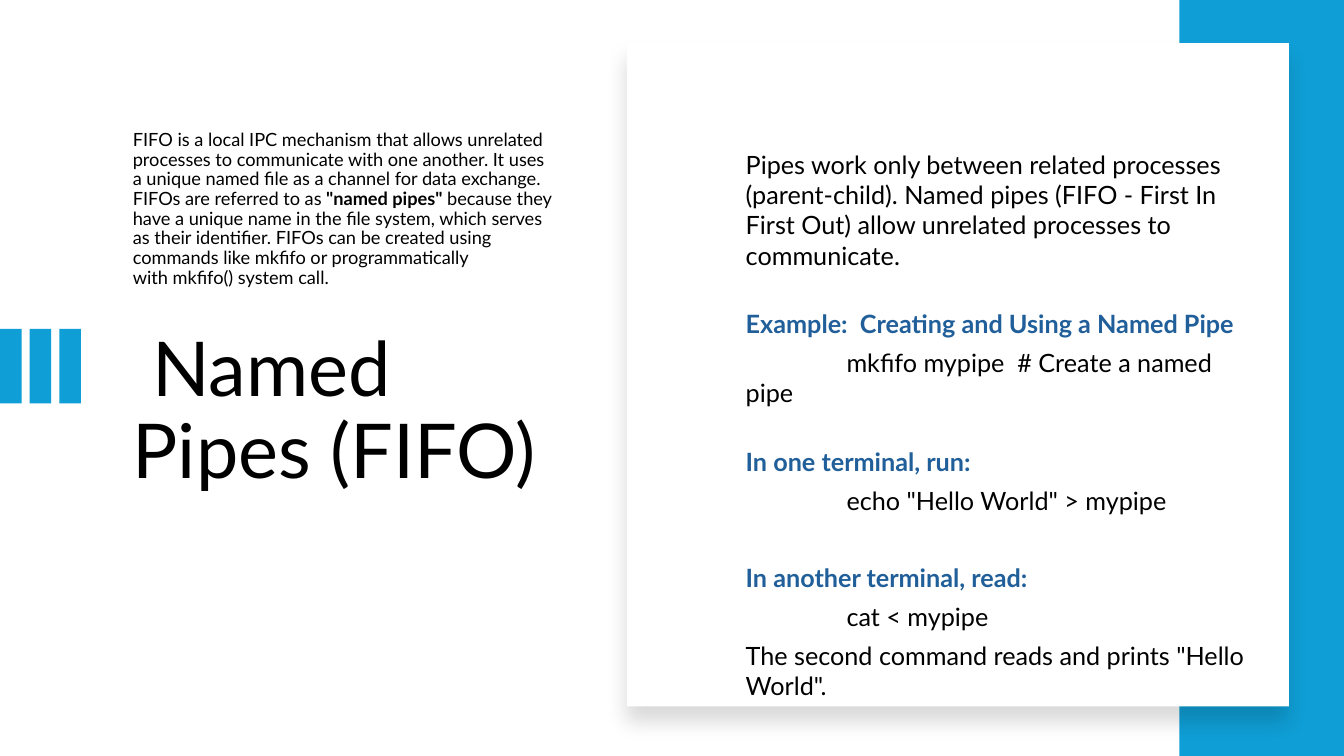
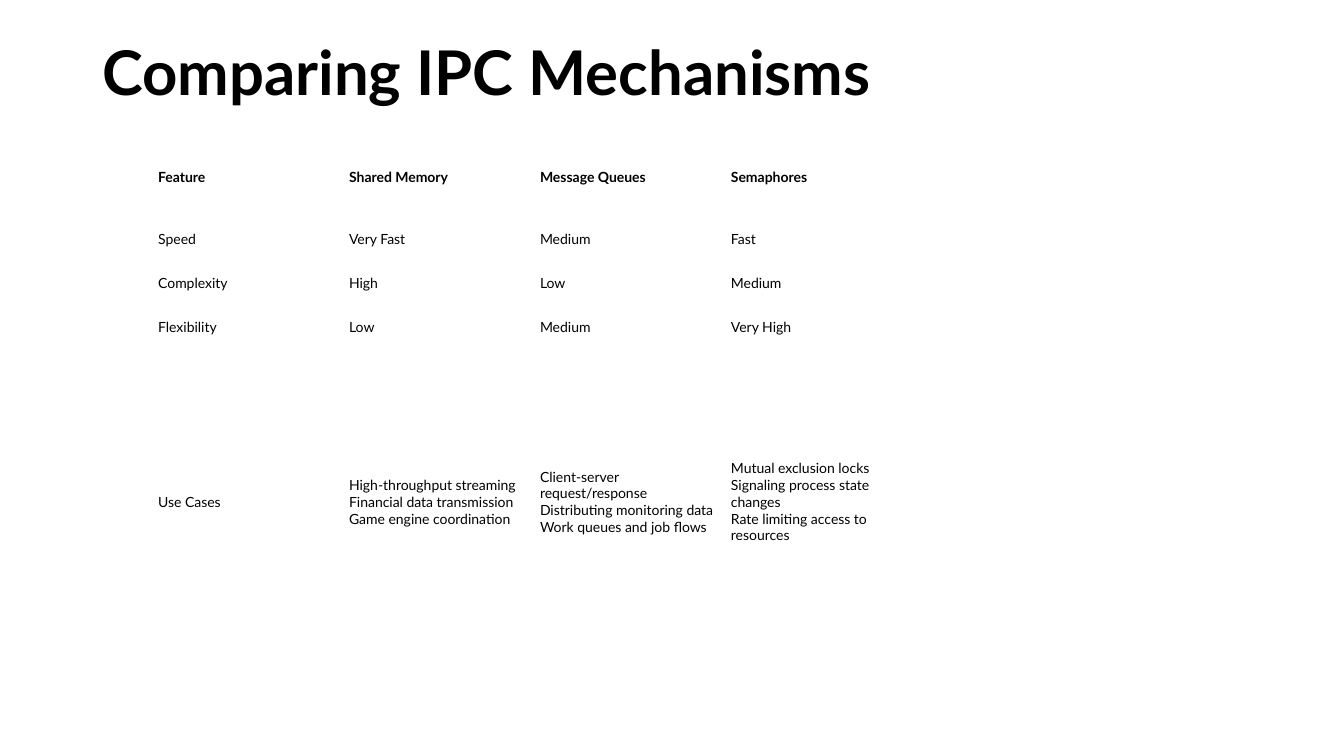
from lxml import etree
from pptx import Presentation
from pptx.dml.color import RGBColor
from pptx.enum.shapes import MSO_SHAPE
from pptx.enum.text import MSO_ANCHOR
from pptx.oxml.ns import qn
from pptx.util import Pt

RECTANGLE = MSO_SHAPE.RECTANGLE
TOP, MIDDLE, BOTTOM = MSO_ANCHOR.TOP, MSO_ANCHOR.MIDDLE, MSO_ANCHOR.BOTTOM

FONT = "Lato"
BLACK = RGBColor(0x00, 0x00, 0x00)
WHITE = RGBColor(0xFF, 0xFF, 0xFF)
SKY = RGBColor(0x0F, 0x9E, 0xD5)
NAVY = RGBColor(0x21, 0x5F, 0x9A)

WIDTH, HEIGHT = 960, 540
BODY_GAP = 6
BLANK_LINE = 21.6
CODE_INDENT = 72
HARD_SPACE = chr(160)

DEFINITION = [
    ("FIFO is a local IPC mechanism that allows unrelated processes to "
     "communicate with one another. It uses a unique named file as a channel "
     "for data exchange. FIFOs are referred to as ", False),
    ('"named pipes"', True),
    (" because they have a unique name in the file system, which serves as "
     "their identifier. FIFOs can be created using commands like mkfifo or "
     "programmatically "
     f"with{HARD_SPACE}mkfifo(){HARD_SPACE}system call.", False),
]

PLAIN, HEADING, CODE = "plain", "heading", "code"
WALKTHROUGH = [
    (PLAIN, "Pipes work only between related processes (parent-child). Named "
            "pipes (FIFO - First In First Out) allow unrelated processes to "
            "communicate.", 1),
    (HEADING, "Example:  Creating and Using a Named Pipe", 0),
    (CODE, "mkfifo mypipe  # Create a named pipe", 1),
    (HEADING, "In one terminal, run:", 0),
    (CODE, 'echo "Hello World" > mypipe', 1.28),
    (HEADING, "In another terminal, read:", 0),
    (CODE, "cat < mypipe", 0),
    (PLAIN, 'The second command reads and prints "Hello World".', 0),
]

COMPARISON = [
    ("Feature", "Shared Memory", "Message Queues", "Semaphores"),
    ("Speed", "Very Fast", "Medium", "Fast"),
    ("Complexity", "High", "Low", "Medium"),
    ("Flexibility", "Low", "Medium", "Very High"),
    ("Use Cases",
     "High-throughput streaming\nFinancial data transmission\n"
     "Game engine coordination",
     "Client-server request/response\nDistributing monitoring data\n"
     "Work queues and job flows",
     "Mutual exclusion locks\nSignaling process state changes\n"
     "Rate limiting access to resources"),
]
ROW_HEIGHTS = [58.3, 31.2, 31.2, 31.2, 218.9]
COLUMN_WIDTH = 136.4


def add_page(deck):
    """Add a blank white page."""
    page = deck.slides.add_slide(deck.slide_layouts[6])
    page.background.fill.solid()
    page.background.fill.fore_color.rgb = WHITE
    return page


def style(para, size, bold=False, color=BLACK):
    """Set the font of a whole paragraph."""
    para.font.name = FONT
    para.font.size = Pt(size)
    para.font.bold = bold
    para.font.color.rgb = color


def add_text(page, left, top, width, height, anchor=TOP):
    """Add an empty wrapping text box and return its frame."""
    box = page.shapes.add_textbox(Pt(left), Pt(top), Pt(width), Pt(height))
    box.text_frame.word_wrap = True
    box.text_frame.vertical_anchor = anchor
    return box.text_frame


def add_title(page, text, left, top, width, height, size, bold=False):
    """Add a page title."""
    para = add_text(page, left, top, width, height).paragraphs[0]
    para.text = text
    para.line_spacing = 0.9
    style(para, size, bold)


def add_block(page, left, top, width, height, color):
    """Add a flat rectangle without outline."""
    block = page.shapes.add_shape(
        RECTANGLE, Pt(left), Pt(top), Pt(width), Pt(height))
    block.fill.solid()
    block.fill.fore_color.rgb = color
    block.line.fill.background()
    block.shadow.inherit = False
    return block


def add_soft_shadow(block):
    """Give a block a faint shadow that falls downwards."""
    effects = block.element.spPr.find(qn("a:effectLst"))
    shadow = etree.SubElement(
        effects, qn("a:outerShdw"), blurRad=str(Pt(15)), dist=str(Pt(11)),
        dir="5400000", algn="t", rotWithShape="0")
    color = etree.SubElement(shadow, qn("a:srgbClr"), val=str(BLACK))
    etree.SubElement(color, qn("a:alpha"), val="15000")


def add_definition(page):
    """Add the short definition above the title."""
    para = add_text(page, 87.8, 74.9, 317.5, 134.6, BOTTOM).paragraphs[0]
    para.line_spacing = 0.9
    para.space_before = Pt(10)
    style(para, 13)
    for text, bold in DEFINITION:
        span = para.add_run()
        span.text = text
        span.font.bold = bold


def add_walkthrough(page):
    """Add the explanation with its headings and indented commands."""
    frame = add_text(page, 525.6, 103, 380, 383)
    for index, (kind, text, blank_lines) in enumerate(WALKTHROUGH):
        para = frame.add_paragraph() if index else frame.paragraphs[0]
        para.text = text
        para.space_after = Pt(BODY_GAP + blank_lines * BLANK_LINE)
        heading = kind == HEADING
        style(para, 18, heading, NAVY if heading else BLACK)
        if kind == CODE:
            properties = para._p.get_or_add_pPr()
            properties.set("marL", "0")
            properties.set("indent", str(Pt(CODE_INDENT)))


def fill_cell(cell, text, bold):
    """Write one table cell on white."""
    cell.fill.solid()
    cell.fill.fore_color.rgb = WHITE
    cell.vertical_anchor = MIDDLE
    cell.margin_left = cell.margin_right = Pt(4.5)
    cell.margin_top = cell.margin_bottom = Pt(2.25)
    cell.text = text
    for para in cell.text_frame.paragraphs:
        style(para, 10, bold)


def add_comparison(page):
    """Add the table that compares the mechanisms."""
    columns = len(COMPARISON[0])
    table = page.shapes.add_table(
        len(COMPARISON), columns, Pt(108.5), Pt(97.2),
        Pt(columns * COLUMN_WIDTH), Pt(sum(ROW_HEIGHTS))).table
    table.first_row = table.horz_banding = False
    for column in table.columns:
        column.width = Pt(COLUMN_WIDTH)
    for index, texts in enumerate(COMPARISON):
        table.rows[index].height = Pt(ROW_HEIGHTS[index])
        for column, text in enumerate(texts):
            fill_cell(table.cell(index, column), text, index == 0)


def build_pipes_page(deck):
    """Build the page on named pipes."""
    page = add_page(deck)
    add_title(page, " Named Pipes (FIFO)", 87.8, 233.3, 317.5, 188, 54)
    add_definition(page)
    for bar in range(3):
        add_block(page, bar * 21.2, 234.9, 15.4, 53.2, SKY)
    add_block(page, 842.4, 0, WIDTH - 842.4, HEIGHT, SKY)
    add_soft_shadow(add_block(page, 447.8, 30.8, 473, 473.8, WHITE))
    add_walkthrough(page)


def build_comparison_page(deck):
    """Build the page with the comparison table."""
    page = add_page(deck)
    add_title(page, "Comparing IPC Mechanisms", 66, 27, 828, 60, 44, True)
    add_comparison(page)


def main():
    """Build and save the deck."""
    deck = Presentation()
    deck.slide_width, deck.slide_height = Pt(WIDTH), Pt(HEIGHT)
    build_pipes_page(deck)
    build_comparison_page(deck)
    deck.save("out.pptx")


if __name__ == "__main__":
    main()
